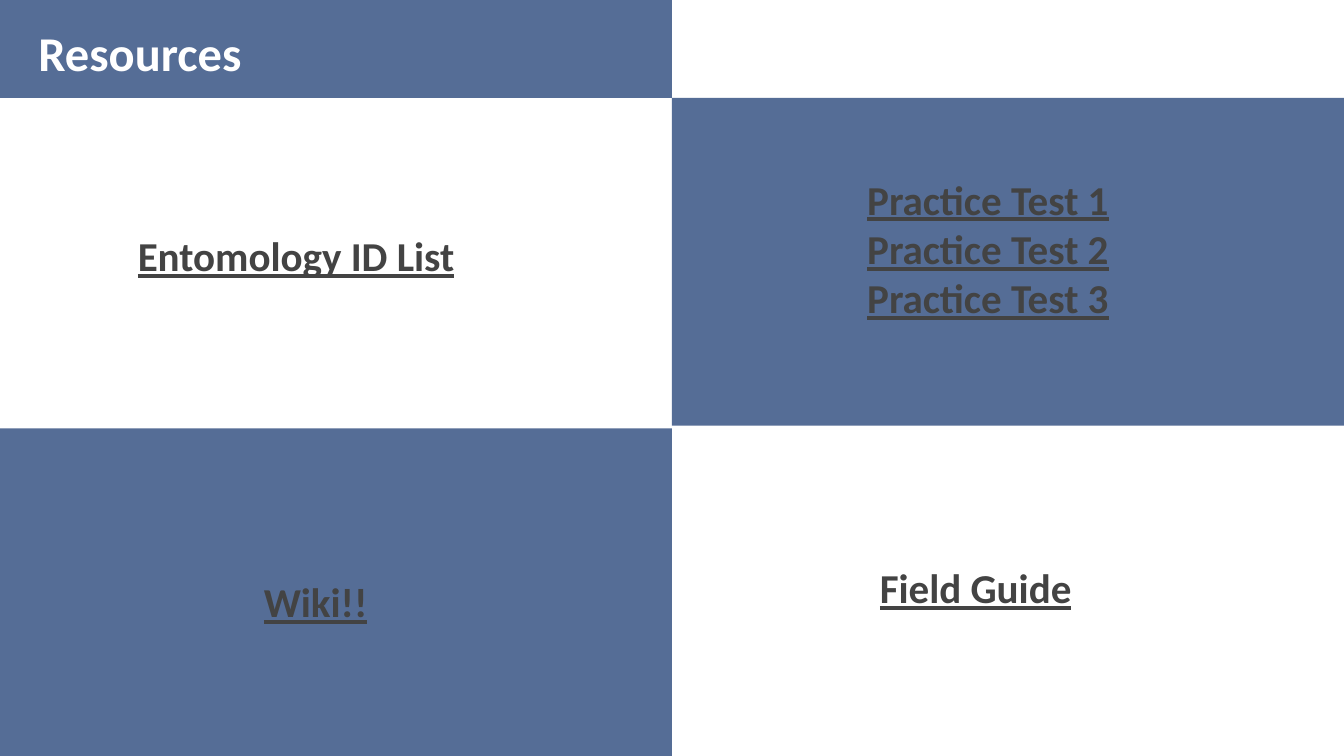
import pptx
import pptx.dml.color
import pptx.enum.shapes
import pptx.enum.text
import pptx.util

PX = 9525  # EMU per px, 96 px to the inch
WIDTH, HEIGHT = 960, 540
HEADER_HEIGHT = 70
PANEL_WIDTH, PANEL_HEIGHT = WIDTH // 2, 234
LABEL_HEIGHT = 68
BLUE, WHITE, GREY = "556D96", "FFFFFF", "434343"


def emu(*lengths):
    return [pptx.util.Emu(length * PX) for length in lengths]


def color(value):
    return pptx.dml.color.RGBColor.from_string(value)


def write(paragraph, text, *, font, size, fill, bold=True, underline=False):
    run = paragraph.add_run()
    run.text = text
    run.font.name = font
    run.font.size = pptx.util.Pt(size)
    run.font.bold = bold
    run.font.underline = underline
    run.font.color.rgb = color(fill)


class Deck:
    font = "Calibri"
    inset = 10

    def __init__(self):
        self.presentation = pptx.Presentation()
        (self.presentation.slide_width,
         self.presentation.slide_height) = emu(WIDTH, HEIGHT)
        self.slide = self.presentation.slides.add_slide(
            self.presentation.slide_layouts[6])
        background = self.slide.background.fill
        background.solid()
        background.fore_color.rgb = color(WHITE)

    def panel(self, left, top, width, height):
        shape = self.slide.shapes.add_shape(
            pptx.enum.shapes.MSO_SHAPE.RECTANGLE, *emu(left, top, width, height))
        shape.shadow.inherit = False
        shape.fill.solid()
        shape.fill.fore_color.rgb = color(BLUE)
        shape.line.fill.background()

    def label(self, left, top, width, lines, **text_format):
        box = self.slide.shapes.add_textbox(*emu(left, top, width, LABEL_HEIGHT))
        frame = box.text_frame
        frame.word_wrap = True
        frame.vertical_anchor = pptx.enum.text.MSO_ANCHOR.BOTTOM
        frame.margin_top, frame.margin_bottom = emu(self.inset, self.inset)
        for index, line in enumerate(lines):
            paragraph = frame.add_paragraph() if index else frame.paragraphs[0]
            write(paragraph, line, font=self.font, **text_format)


def main():
    deck = Deck()

    # Checkerboard of blue panels
    deck.panel(0, 0, PANEL_WIDTH, HEADER_HEIGHT)
    deck.panel(PANEL_WIDTH, HEADER_HEIGHT, PANEL_WIDTH, PANEL_HEIGHT)
    deck.panel(0, HEIGHT - PANEL_HEIGHT, PANEL_WIDTH, PANEL_HEIGHT)

    # Title
    deck.label(18, 0, 485, ["Resources"], size=26, fill=WHITE)

    # Resources, one group per quarter
    resources = [
        (89, 142, ["Entomology ID List"]),
        (610, 172, [f"Practice Test {number}" for number in (1, 2, 3)]),
        (179, 389, ["Wiki!!"]),
        (619, 379, ["Field Guide"]),
    ]
    for left, top, lines in resources:
        deck.label(left, top, 301, lines, size=22, fill=GREY, underline=True)

    deck.presentation.save("out.pptx")


if __name__ == "__main__":
    main()
